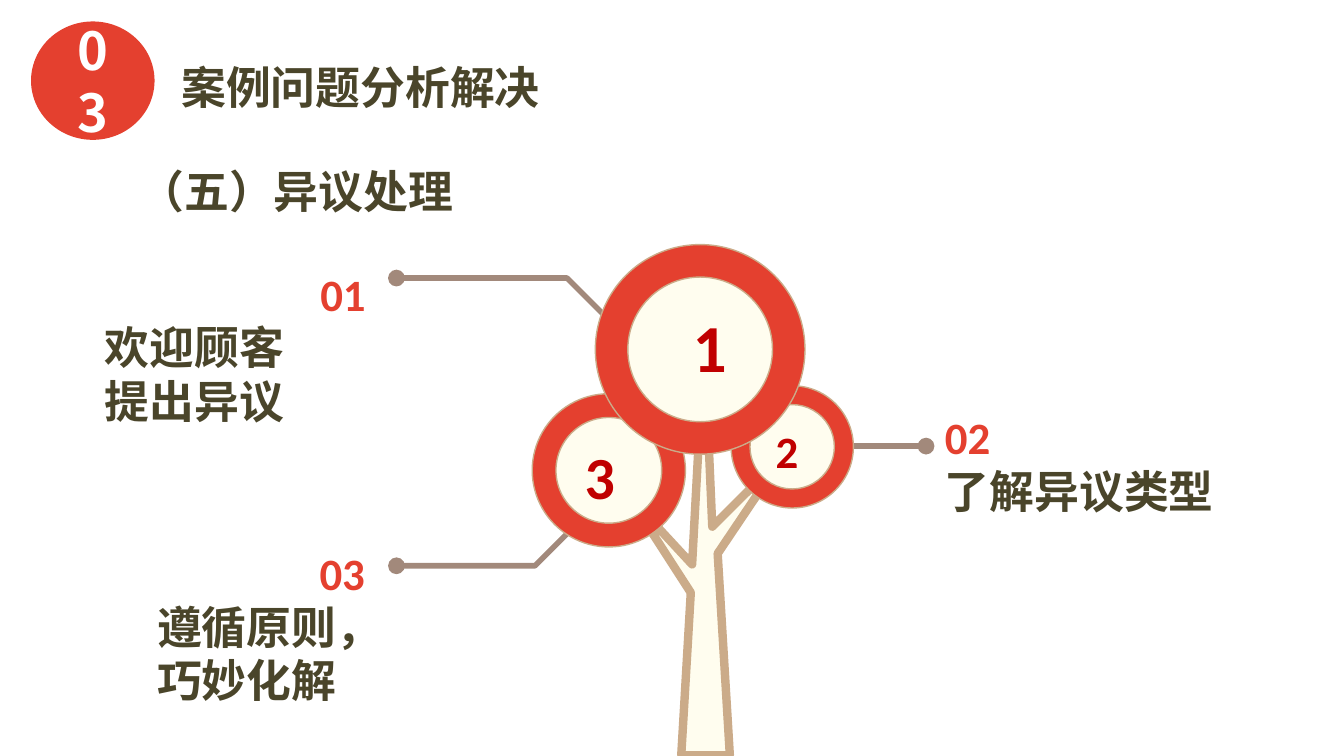
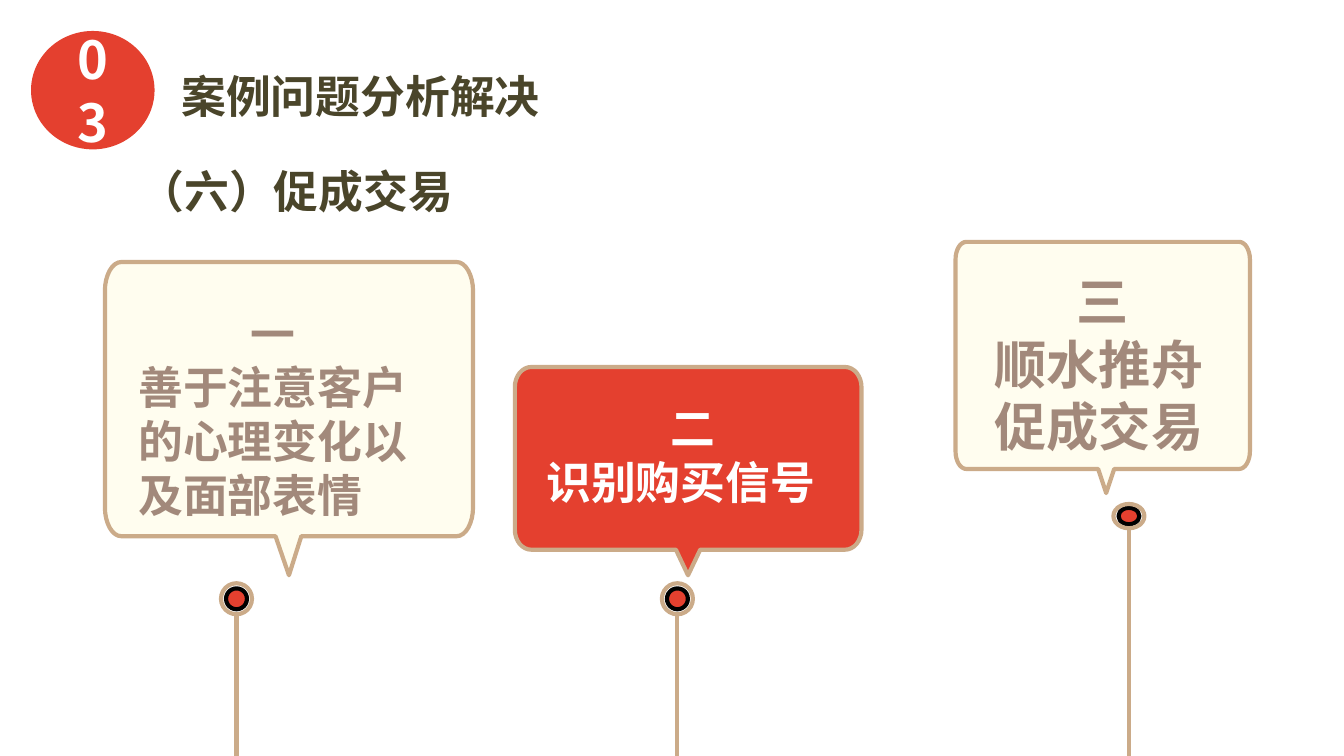
import math

import lxml.etree
import pptx
import pptx.dml.color
import pptx.enum.shapes
import pptx.enum.text
import pptx.oxml.ns
import pptx.util

Pt = pptx.util.Pt
ALIGN = pptx.enum.text.PP_ALIGN
ANCHOR = pptx.enum.text.MSO_ANCHOR
OVAL = pptx.enum.shapes.MSO_SHAPE.OVAL

COLOURS = {
    "red": "E4402F",
    "crimson": "C00000",
    "cream": "FFFDEF",
    "tan": "CBAB89",
    "taupe": "A2897B",
    "olive": "4A452A",
    "white": "FFFFFF",
    "black": "000000",
}
HEADING_FONT = "Noto Sans CJK SC"
BODY_FONT = "Calibri"
NO_MARGINS = dict.fromkeys(("margin_left", "margin_top", "margin_right", "margin_bottom"), 0)
SLIDE_BOTTOM = 405
RING_RATIO = 0.69
CORNER_STEPS = 8


def rgb(name):
    return pptx.dml.color.RGBColor.from_string(COLOURS[name])


def apply_format(target, values):
    for key, value in values.items():
        setattr(target, key, value)


# Fill, line and text shared by every element
def style(shape, fill=None, line=None, width=0.75):
    shape.shadow.inherit = False
    if fill:
        shape.fill.solid()
        shape.fill.fore_color.rgb = rgb(fill)
    else:
        shape.fill.background()
    if line:
        shape.line.color.rgb = rgb(line)
        shape.line.width = Pt(width)
    else:
        shape.line.fill.background()


def line_properties(shape):
    return shape.line._get_or_add_ln()


def add_oval_end(shape):
    lxml.etree.SubElement(line_properties(shape), pptx.oxml.ns.qn("a:tailEnd"), type="oval")


def write(frame, lines, font=BODY_FONT, frame_format=None):
    """Each line is (text, size, colour, paragraph format, indent)."""
    apply_format(frame, {"word_wrap": True, "vertical_anchor": ANCHOR.TOP, **(frame_format or {})})
    for index, (text, size, colour, layout, indent) in enumerate(lines):
        paragraph = frame.paragraphs[0] if index == 0 else frame.add_paragraph()
        apply_format(paragraph, {"alignment": ALIGN.LEFT, **layout})
        if indent:
            paragraph._p.get_or_add_pPr().set("marL", str(Pt(indent)))
        run = paragraph.add_run()
        run.text = text
        apply_format(run.font, {"name": font, "size": Pt(size), "bold": True})
        run.font.color.rgb = rgb(colour)
        east_asian = lxml.etree.SubElement(run._r.get_or_add_rPr(), pptx.oxml.ns.qn("a:ea"))
        east_asian.set("typeface", font)


def add_text(slide, box, lines, **options):
    label = slide.shapes.add_textbox(*map(Pt, box))
    write(label.text_frame, lines, **options)


def add_ellipse(shapes, centre, size, **look):
    (x, y), (width, height) = centre, size
    ellipse = shapes.add_shape(OVAL, Pt(x - width / 2), Pt(y - height / 2), Pt(width), Pt(height))
    style(ellipse, **look)
    return ellipse


def add_line(shapes, start, end, colour, width):
    line = shapes.add_connector(
        pptx.enum.shapes.MSO_CONNECTOR.STRAIGHT, *map(Pt, (*start, *end)))
    line.line.color.rgb = rgb(colour)
    line.line.width = Pt(width)
    lxml.etree.SubElement(line._element.spPr, pptx.oxml.ns.qn("a:effectLst"))
    return line


def add_outline(slide, points, close=True, **look):
    corners = [(Pt(x), Pt(y)) for x, y in points]
    builder = slide.shapes.build_freeform(*corners[0])
    builder.add_line_segments(corners[1:], close=close)
    outline = builder.convert_to_shape()
    style(outline, **look)
    return outline


# Numbered badge, title and subtitle
def add_header(slide, top, subtitle):
    badge = add_ellipse(slide.shapes, (49.7, top + 31.7), (66.2, 63.4), fill="red")
    write(badge.text_frame, [("03", 28, "white", {"alignment": ALIGN.CENTER}, 0)],
          font=HEADING_FONT, frame_format={"vertical_anchor": ANCHOR.MIDDLE})
    for text, box in (("案例问题分析解决", (90, top + 16.9, 620.6, 33.8)),
                      (subtitle, (67.7, 84.2, 303.8, 33.8))):
        add_text(slide, box, [(text, 24, "olive", {}, 0)], font=HEADING_FONT)


# Tree parts
def add_crown(slide, number, centre, diameter, size, indent=0):
    inner = RING_RATIO * diameter
    add_ellipse(slide.shapes, centre, (diameter, diameter), fill="red", line="tan")
    core = add_ellipse(slide.shapes, centre, (inner, inner), fill="cream", line="tan")
    write(core.text_frame, [(number, size, "crimson", {}, indent)])


def add_branch_note(slide, box, number, texts, number_layout, indent=0):
    lines = [(number, 24, "red", number_layout, indent)]
    lines += [(text, 24, "olive", {}, 0) for text in texts]
    add_text(slide, box, lines, frame_format=NO_MARGINS)


# Signpost parts
def add_pin(slide, x, y, ring_height, dot_height):
    pin = slide.shapes.add_group_shape().shapes
    add_line(pin, (x, SLIDE_BOTTOM), (x, y + ring_height / 2), "tan", 2.25)
    add_ellipse(pin, (x, y), (11.2, dot_height), fill="red", line="black", width=2.25)
    add_ellipse(pin, (x, y), (16.6, ring_height), line="tan", width=2.25)


def add_bubble(slide, edges, radii, tip, tail_centre, tail_half, fill):
    left, top, right, bottom = edges
    rx, ry = radii
    # Corner centres run clockwise from the bottom left, each with its start angle
    corners = [(left + rx, bottom - ry, 90), (left + rx, top + ry, 180),
               (right - rx, top + ry, 270), (right - rx, bottom - ry, 0)]
    points = [tip, (tail_centre - tail_half, bottom)]
    for x, y, start in corners:
        for step in range(CORNER_STEPS + 1):
            angle = math.radians(start + 90 * step / CORNER_STEPS)
            points.append((x + rx * math.cos(angle), y + ry * math.sin(angle)))
    points.append((tail_centre + tail_half, bottom))
    add_outline(slide, points, fill=fill, line="tan", width=2.25)


def add_bubble_text(slide, box, numeral, texts, size, colour, indent):
    lines = [(numeral, size, colour, {"alignment": ALIGN.CENTER, "line_spacing": 1.5}, 0)]
    lines += [(text, size, colour, {}, indent) for text in texts]
    add_text(slide, box, lines)


def build_objections(slide):
    # Leader lines
    for points in ([(325.4, 170.6), (303.8, 149), (212.4, 149)],
                   [(306.7, 283), (286.6, 303.1), (212.4, 303.1)]):
        add_oval_end(add_outline(slide, points, close=False, line="taupe", width=3))
    add_oval_end(add_line(slide.shapes, (452.9, 239), (496.1, 239), "taupe", 3))

    # Trunk and crowns
    trunk = [(365, 404.6), (391, 404.6), (384.5, 296.6), (419.8, 244.1), (381.6, 282.2),
             (377.3, 182.2), (370.8, 302.4), (336.2, 265), (370.1, 317.5)]
    add_outline(slide, trunk, fill="cream", line="tan", width=4.5)
    add_crown(slide, "2", (424.4, 239.4), 65.5, 24)
    add_crown(slide, "3", (326.2, 252), 82.1, 32)
    add_crown(slide, "1", (375.1, 187.2), 112.3, 36, indent=16.3)

    # Notes
    add_branch_note(slide, (56.2, 142.6, 139.7, 87.1), "01", ["欢迎顾客", "提出异议"],
                    {"alignment": ALIGN.RIGHT})
    add_branch_note(slide, (84.2, 292.3, 118.8, 87.1), "03", ["遵循原则，", "巧妙化解"], {}, 87)
    add_branch_note(slide, (506.2, 219.6, 167.4, 58.3), "02", ["了解异议类型"], {})
    add_header(slide, 11.5, "（五）异议处理")


def build_closing(slide):
    for pin in ((362.9, 320.8, 16.6, 11.2), (126.7, 320.8, 16.6, 11.2), (604.8, 276.5, 13, 8.8)):
        add_pin(slide, *pin)

    # Bubbles: edges, corner radii, tip, tail centre, half tail width, fill
    for bubble in (
        ((275.8, 196.6, 461.5, 294.5), (8.8, 10.8), (368.6, 308.2), 368.6, 6.5, "red"),
        ((56.2, 140.4, 253.4, 287.3), (8.8, 15.5), (154.8, 308.2), 154.5, 6.9, "cream"),
        ((511.9, 129.6, 669.6, 251.3), (5.8, 9.4), (592.6, 264.2), 592.6, 4.3, "cream"),
    ):
        add_bubble(slide, *bubble)

    # Bubble texts
    add_bubble_text(slide, (500.4, 123.8, 180.7, 126), "三", ["顺水推舟", "促成交易"],
                    28, "taupe", 25.3)
    add_bubble_text(slide, (56.2, 146.2, 180, 138.2), "一",
                    ["善于注意客户", "的心理变化以", "及面部表情"], 24, "taupe", 10.8)
    add_bubble_text(slide, (258.5, 196.6, 225.4, 79.9), "二", ["识别购买信号"], 24, "white", 27.1)
    add_header(slide, 16.6, "（六）促成交易")


def main():
    deck = pptx.Presentation()
    deck.slide_width, deck.slide_height = Pt(720), Pt(SLIDE_BOTTOM)
    for build in (build_objections, build_closing):
        build(deck.slides.add_slide(deck.slide_layouts[6]))
    deck.save("out.pptx")


if __name__ == "__main__":
    main()
